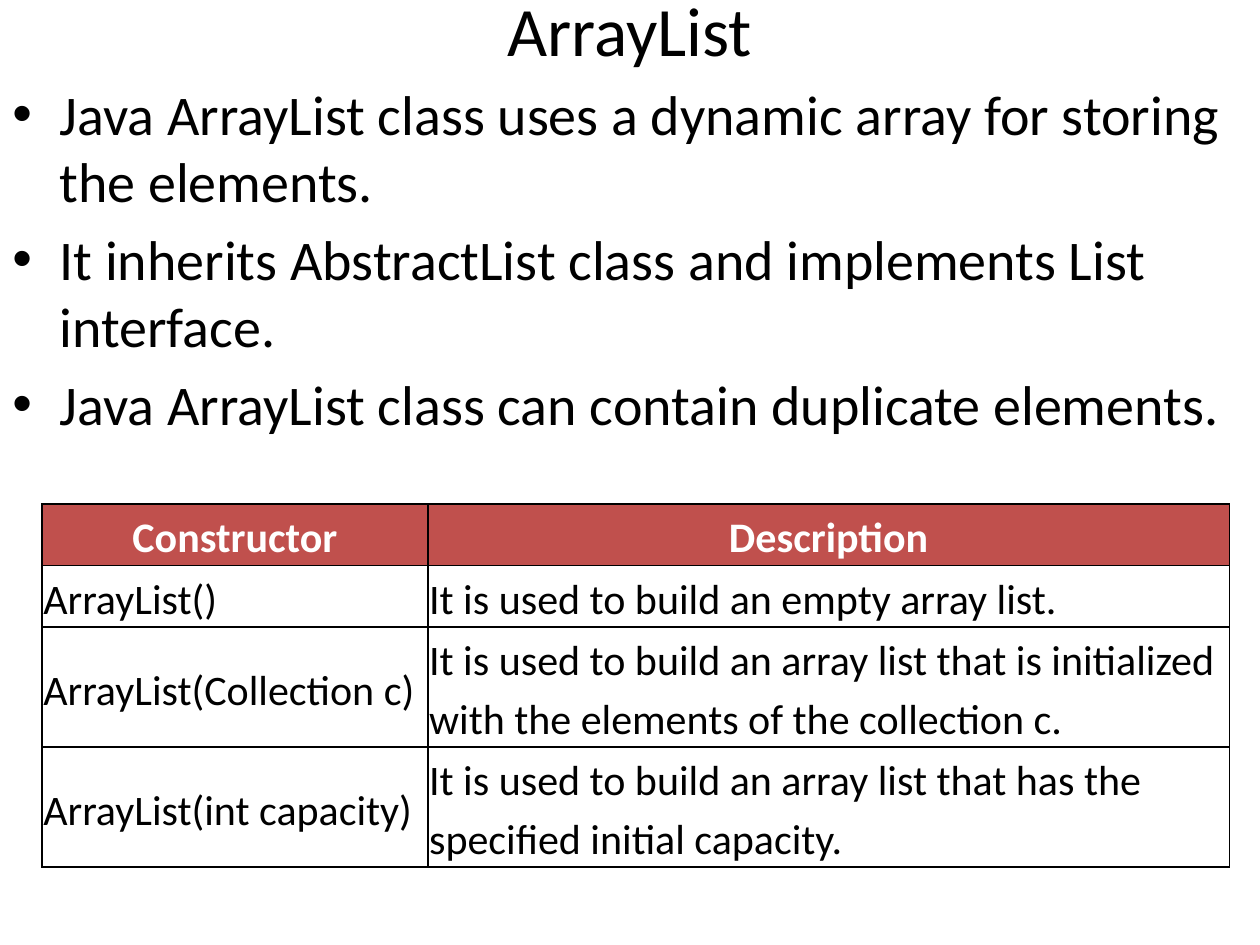
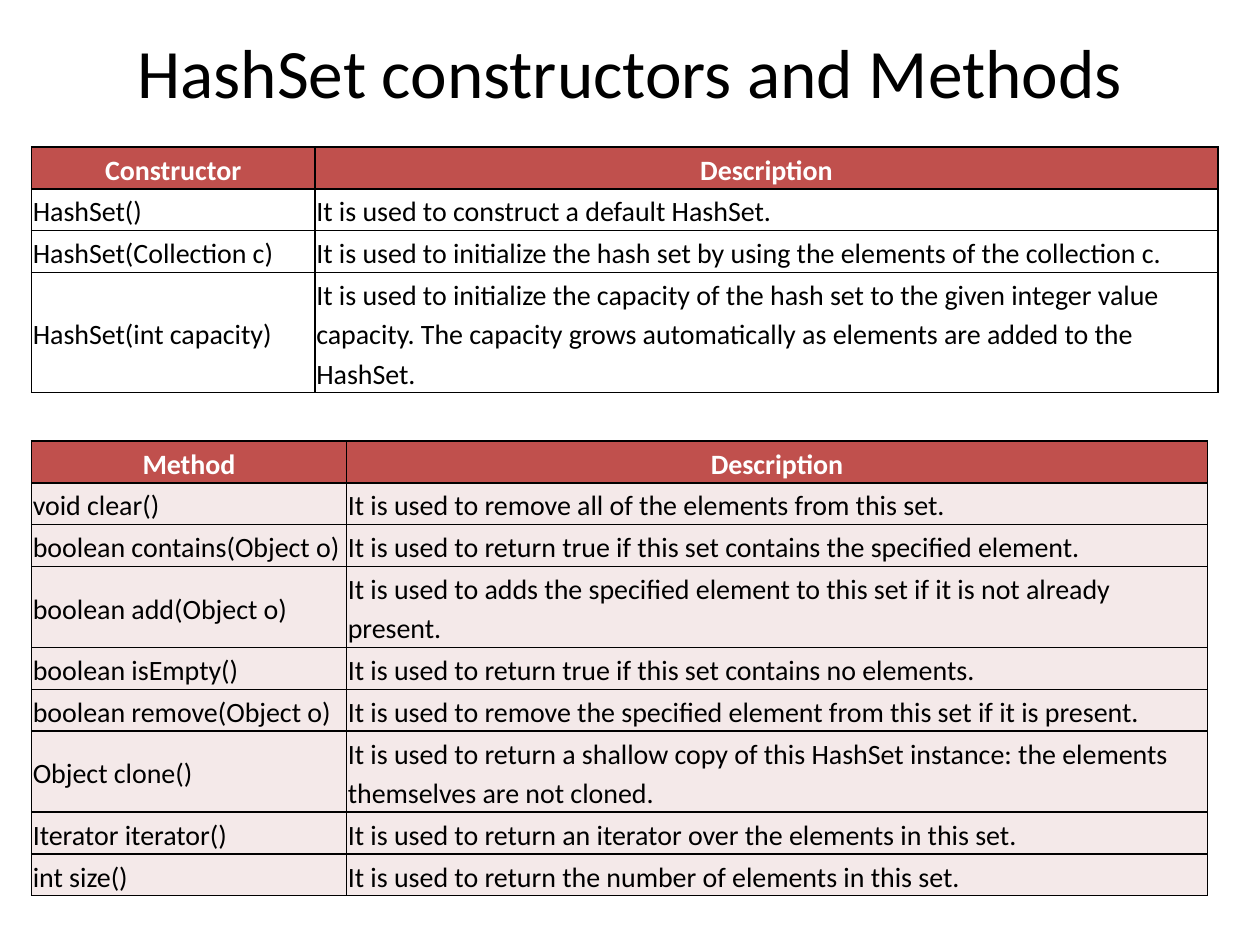
from dataclasses import dataclass

from lxml.etree import SubElement
from pptx import Presentation
from pptx.dml.color import RGBColor
from pptx.enum.text import MSO_ANCHOR, PP_ALIGN
from pptx.oxml.ns import qn
from pptx.slide import Slide
from pptx.table import _Cell
from pptx.util import Pt

BLACK = RGBColor(0x00, 0x00, 0x00)
WHITE = RGBColor(0xFF, 0xFF, 0xFF)
HEADER_RED = RGBColor(0xC0, 0x50, 0x4D)
PALE_PINK = RGBColor(0xF4, 0xE9, 0xE9)

FONT_NAME = "Calibri"
TITLE_SIZE = 39.6
BODY_SIZE = 32
BULLET_INDENT = 27
CELL_MARGIN = 0.75
LINE_FACTOR = 1.4


@dataclass(frozen=True)
class Row:
    name: str
    description: str
    lines: int = 1


@dataclass(frozen=True)
class ReferenceTable:
    left: float
    top: float
    column_widths: tuple[float, float]
    font_size: float
    body_fill: RGBColor
    heading: str
    rows: tuple[Row, ...]


def add_title(slide: Slide, text: str, top: float, height: float) -> None:
    title = slide.shapes.add_textbox(Pt(36), Pt(top), Pt(648), Pt(height))
    frame = title.text_frame
    frame.word_wrap = True
    frame.vertical_anchor = MSO_ANCHOR.MIDDLE
    paragraph = frame.paragraphs[0]
    paragraph.text = text
    paragraph.alignment = PP_ALIGN.CENTER
    paragraph.font.name = FONT_NAME
    paragraph.font.size = Pt(TITLE_SIZE)
    paragraph.font.color.rgb = BLACK


def add_bullets(slide: Slide, items: tuple[str, ...]) -> None:
    body = slide.shapes.add_textbox(Pt(0), Pt(42), Pt(720), Pt(228))
    frame = body.text_frame
    frame.word_wrap = True
    for index, item in enumerate(items):
        paragraph = frame.add_paragraph() if index else frame.paragraphs[0]
        paragraph.text = item
        paragraph.space_before = Pt(6)
        paragraph.font.name = FONT_NAME
        paragraph.font.size = Pt(BODY_SIZE)
        paragraph.font.color.rgb = BLACK
        properties = paragraph._p.get_or_add_pPr()
        properties.set("marL", str(Pt(BULLET_INDENT)))
        properties.set("indent", str(-Pt(BULLET_INDENT)))
        bullet_font = SubElement(properties, qn("a:buFont"))
        bullet_font.set("typeface", "Arial")
        bullet = SubElement(properties, qn("a:buChar"))
        bullet.set("char", "•")
        properties.append(properties.find(qn("a:defRPr")))


def add_borders(cell: _Cell) -> None:
    properties = cell._tc.get_or_add_tcPr()
    for index, side in enumerate(("lnL", "lnR", "lnT", "lnB")):
        line = properties.makeelement(qn(f"a:{side}"), {"w": str(Pt(1))})
        fill = SubElement(line, qn("a:solidFill"))
        SubElement(fill, qn("a:srgbClr")).set("val", str(BLACK))
        properties.insert(index, line)


def fill_cell(cell: _Cell, text: str, size: float, fill: RGBColor, is_header: bool) -> None:
    cell.margin_left = cell.margin_right = Pt(CELL_MARGIN)
    cell.margin_top = cell.margin_bottom = Pt(CELL_MARGIN)
    cell.vertical_anchor = MSO_ANCHOR.MIDDLE
    cell.fill.solid()
    cell.fill.fore_color.rgb = fill
    paragraph = cell.text_frame.paragraphs[0]
    paragraph.text = text
    paragraph.alignment = PP_ALIGN.CENTER if is_header else PP_ALIGN.LEFT
    paragraph.line_spacing = 1.15
    paragraph.space_after = Pt(10)
    paragraph.font.name = FONT_NAME
    paragraph.font.size = Pt(size)
    paragraph.font.bold = is_header
    paragraph.font.color.rgb = WHITE if is_header else BLACK
    add_borders(cell)


def add_reference_table(slide: Slide, content: ReferenceTable) -> None:
    rows = (Row(content.heading, "Description"), *content.rows)
    heights = [
        row.lines * content.font_size * LINE_FACTOR + 2 * CELL_MARGIN for row in rows
    ]
    table = slide.shapes.add_table(
        len(rows),
        len(content.column_widths),
        Pt(content.left),
        Pt(content.top),
        Pt(sum(content.column_widths)),
        Pt(sum(heights)),
    ).table
    for column, width in zip(table.columns, content.column_widths):
        column.width = Pt(width)
    for index, (row, height) in enumerate(zip(rows, heights)):
        table.rows[index].height = Pt(height)
        is_header = index == 0
        fill = HEADER_RED if is_header else content.body_fill
        for column_index, text in enumerate((row.name, row.description)):
            cell = table.cell(index, column_index)
            fill_cell(cell, text, content.font_size, fill, is_header)


ARRAY_LIST_POINTS = (
    "Java ArrayList class uses a dynamic array for storing the elements. ",
    "It inherits AbstractList class and implements List interface.",
    "Java ArrayList class can contain duplicate elements.",
)

ARRAY_LIST_CONSTRUCTORS = ReferenceTable(
    24, 288, (220.5, 458), 24, WHITE, "Constructor",
    (
        Row("ArrayList()", "It is used to build an empty array list."),
        Row(
            "ArrayList(Collection c)",
            "It is used to build an array list that is initialized with the elements "
            "of the collection c.",
            2,
        ),
        Row(
            "ArrayList(int capacity)",
            "It is used to build an array list that has the specified initial capacity. ",
            2,
        ),
    ),
)

HASH_SET_CONSTRUCTORS = ReferenceTable(
    18, 84, (162, 516), 16, WHITE, "Constructor",
    (
        Row("HashSet()", "It is used to construct a default HashSet."),
        Row(
            "HashSet(Collection c)",
            "It is used to initialize the hash set by using the elements of the collection c.",
        ),
        Row(
            "HashSet(int capacity)",
            "It is used to initialize the capacity of the hash set to the given integer "
            "value capacity. The capacity grows automatically as elements are added to "
            "the HashSet.",
            3,
        ),
    ),
)

HASH_SET_METHODS = ReferenceTable(
    18, 252, (180, 492), 16, PALE_PINK, "Method",
    (
        Row("void clear()", "It is used to remove all of the elements from this set."),
        Row(
            "boolean contains(Object o)",
            "It is used to return true if this set contains the specified element.",
        ),
        Row(
            "boolean add(Object o)",
            "It is used to adds the specified element to this set if it is not already present.",
            2,
        ),
        Row("boolean isEmpty()", "It is used to return true if this set contains no elements."),
        Row(
            "boolean remove(Object o)",
            "It is used to remove the specified element from this set if it is present.",
        ),
        Row(
            "Object clone()",
            "It is used to return a shallow copy of this HashSet instance: the elements "
            "themselves are not cloned.",
            2,
        ),
        Row(
            "Iterator iterator()",
            "It is used to return an iterator over the elements in this set.",
        ),
        Row("int size()", "It is used to return the number of elements in this set."),
    ),
)

presentation = Presentation()
presentation.slide_width = Pt(720)
presentation.slide_height = Pt(540)
blank_layout = presentation.slide_layouts[6]

array_list_slide = presentation.slides.add_slide(blank_layout)
add_title(array_list_slide, "ArrayList", 0, 32.4)
add_bullets(array_list_slide, ARRAY_LIST_POINTS)
add_reference_table(array_list_slide, ARRAY_LIST_CONSTRUCTORS)

hash_set_slide = presentation.slides.add_slide(blank_layout)
add_title(hash_set_slide, "HashSet constructors and Methods", 21.6, 38.2)
add_reference_table(hash_set_slide, HASH_SET_CONSTRUCTORS)
add_reference_table(hash_set_slide, HASH_SET_METHODS)

presentation.save("out.pptx")
